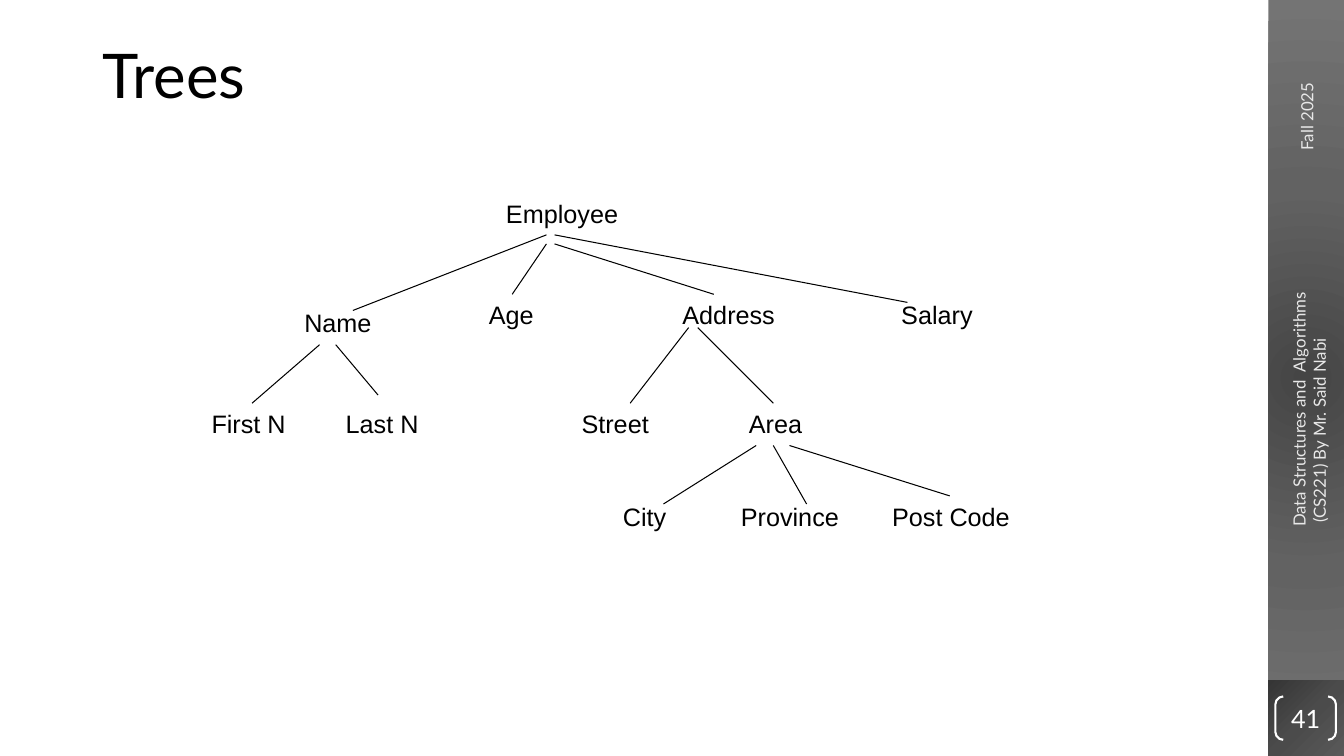
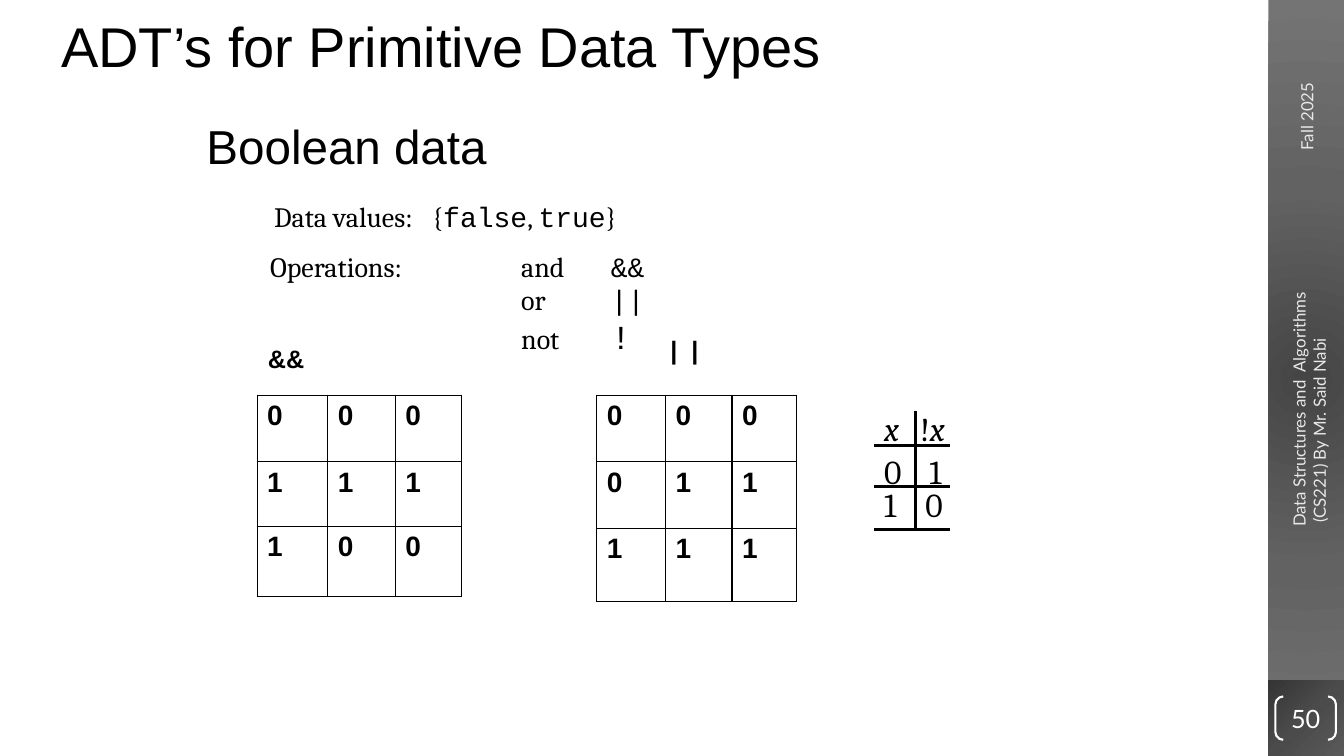
from collections import namedtuple

from lxml.etree import SubElement
from pptx import Presentation
from pptx.dml.color import RGBColor
from pptx.enum.shapes import MSO_CONNECTOR, MSO_SHAPE
from pptx.enum.text import MSO_ANCHOR, MSO_AUTO_SIZE, PP_ALIGN
from pptx.oxml.ns import qn
from pptx.util import Inches, Pt

BLACK = RGBColor(0x00, 0x00, 0x00)
WHITE = RGBColor(0xFF, 0xFF, 0xFF)
LIGHT_GRAY = RGBColor(0xE8, 0xE8, 0xE8)
BAND_COLORS = [RGBColor(0x45, 0x45, 0x45), RGBColor(0x62, 0x62, 0x62), RGBColor(0x74, 0x74, 0x74)]
CORNER_COLORS = [RGBColor(0x35, 0x35, 0x35), RGBColor(0x4B, 0x4B, 0x4B), RGBColor(0x59, 0x59, 0x59)]

# Text styles
TITLE = {"name": "Lato", "size": Pt(44), "color": BLACK}
HEADING = {"name": "Arial", "size": Pt(40), "color": BLACK}
SUBHEADING = {**HEADING, "size": Pt(34)}
LABEL = {**HEADING, "size": Pt(18)}
BOLD_LABEL = {**LABEL, "bold": True}
CELL = {**BOLD_LABEL, "size": Pt(20)}
BODY = {"name": "Cambria", "size": Pt(20), "color": BLACK}
NEGATION = {**BODY, "size": Pt(24)}
FOOTER = {"name": "Lato", "size": Pt(12), "color": LIGHT_GRAY}
PAGE_NUMBER = {"name": "Lato", "size": Pt(18), "color": WHITE}
CODE = {"name": "Courier New"}
ITALIC = {"italic": True}

Box = namedtuple("Box", "left top width height")

# Tree: label, left, top, width; lines as start x, y, end x, y
TREE_NODES = [
    ("Employee", 2.92, 0, 1.31),
    ("Name", 0.92, 1.08, 0.87),
    ("Age", 2.75, 1, 0.65),
    ("Address", 4.67, 1, 1.12),
    ("Salary", 6.84, 1, 0.91),
    ("First N", 0, 2.08, 0.94),
    ("Last N", 1.33, 2.08, 0.92),
    ("Street", 3.67, 2.08, 0.87),
    ("Area", 5.33, 2.08, 0.73),
    ("City", 4.08, 3, 0.63),
    ("Province", 5.25, 3, 1.17),
    ("Post Code", 6.75, 3, 1.37),
]
TREE_LINES = [
    (3.42, 0.41, 1.5, 1.16), (3.42, 0.5, 3.08, 1), (3.5, 0.5, 5.08, 1), (3.5, 0.41, 7, 1.08),
    (1.17, 1.5, 0.5, 2.08), (1.33, 1.5, 1.75, 2),
    (4.83, 1.33, 4.25, 2.08), (4.92, 1.33, 5.67, 2.08),
    (5.5, 2.5, 4.58, 3.08), (5.67, 2.5, 6, 3.08), (5.83, 2.5, 7.42, 3),
]


def inside(box, left, top, width, height):
    return Box(box.left + left, box.top + top, width, height)


def lengths(values):
    return [Inches(value) for value in values]


def set_font(font, style):
    for attribute, value in style.items():
        if attribute == "color":
            font.color.rgb = value
        else:
            setattr(font, attribute, value)


def fill_paragraph(paragraph, runs, style, tabs=()):
    """Write runs, each a string or a (string, style changes) pair."""
    for item in [runs] if isinstance(runs, str) else runs:
        text, changes = (item, {}) if isinstance(item, str) else item
        run = paragraph.add_run()
        run.text = text
        set_font(run.font, {**style, **changes})
    if tabs:
        tab_list = SubElement(paragraph._p.get_or_add_pPr(), qn("a:tabLst"))
        for position in tabs:
            SubElement(tab_list, qn("a:tab"), pos=str(Inches(position)), algn="l")


def add_text(slide, box, paragraphs, style, tabs=(), wrap=True, anchor=MSO_ANCHOR.TOP, spacing=None, rotation=0):
    shape = slide.shapes.add_textbox(*lengths(box))
    shape.rotation = rotation
    frame = shape.text_frame
    settings = {"word_wrap": wrap, "vertical_anchor": anchor}
    if not wrap:
        settings["auto_size"] = MSO_AUTO_SIZE.SHAPE_TO_FIT_TEXT
    for attribute, value in settings.items():
        setattr(frame, attribute, value)
    for index, runs in enumerate(paragraphs):
        paragraph = frame.add_paragraph() if index else frame.paragraphs[0]
        paragraph.line_spacing = spacing
        fill_paragraph(paragraph, runs, style, tabs)


def add_line(slide, box, points, width):
    start_x, start_y, end_x, end_y = points
    line = slide.shapes.add_connector(
        MSO_CONNECTOR.STRAIGHT,
        *lengths((box.left + start_x, box.top + start_y, box.left + end_x, box.top + end_y)))
    line.line.color.rgb = BLACK
    line.line.width = Pt(width)
    SubElement(line._element.spPr, qn("a:effectLst"))


def add_gradient_box(slide, box, colors, focus):
    """Add a rectangle with a radial gradient; focus gives left, top, right, bottom."""
    shape = slide.shapes.add_shape(MSO_SHAPE.RECTANGLE, *lengths(box))
    shape.shadow.inherit = False
    shape.line.fill.background()
    shape.fill.gradient()
    gradient = shape._element.spPr.find(qn("a:gradFill"))
    for child in list(gradient):
        gradient.remove(child)
    stops = SubElement(gradient, qn("a:gsLst"))
    for index, color in enumerate(colors):
        stop = SubElement(stops, qn("a:gs"), pos=str(index * 50000))
        SubElement(stop, qn("a:srgbClr"), val=str(color))
    circle = SubElement(gradient, qn("a:path"), path="circle")
    SubElement(circle, qn("a:fillToRect"),
               **{side: str(percent * 1000) for side, percent in zip("ltrb", focus)})


def add_side_band(slide, box, number):
    # Band and corner square
    add_gradient_box(slide, box, BAND_COLORS, (50, 50, 50, 50))
    corner = inside(box, 0, box.height - box.width, box.width, box.width)
    add_gradient_box(slide, corner, CORNER_COLORS, (0, 0, 100, 100))

    # Vertical texts
    add_text(slide, inside(box, -0.33, 0.73, 1.42, 0.3), ["Fall 2025"], FOOTER, rotation=270)
    add_text(slide, inside(box, -0.93, 3.74, 2.67, 0.5),
             ["Data Structures and  Algorithms", " (CS221) By Mr. Said Nabi"], FOOTER, rotation=270)

    # Bracketed page number
    bracket = slide.shapes.add_shape(MSO_SHAPE.DOUBLE_BRACKET, *lengths(inside(corner, 0.07, 0.16, 0.6, 0.43)))
    bracket.adjustments[0] = 0.18
    bracket.shadow.inherit = False
    bracket.fill.background()
    bracket.line.color.rgb = WHITE
    bracket.line.width = Pt(1.5)
    frame = bracket.text_frame
    frame.vertical_anchor = MSO_ANCHOR.MIDDLE
    for side in ("left", "top", "right", "bottom"):
        setattr(frame, f"margin_{side}", 0)
    frame.paragraphs[0].alignment = PP_ALIGN.CENTER
    fill_paragraph(frame.paragraphs[0], str(number), PAGE_NUMBER)


def add_tree(slide, box):
    for label, left, top, width in TREE_NODES:
        add_text(slide, inside(box, left, top, width, 0.4), [label], LABEL, wrap=False)
    for points in TREE_LINES:
        add_line(slide, box, points, 0.75)


def add_operations(slide, box):
    add_text(slide, inside(box, 0.04, 0, 7.67, 0.45),
             [["Data values:\t{", ("false", CODE), ", ", ("true", CODE), "}"]], BODY, tabs=[1.57])
    add_text(slide, inside(box, 0, 0.49, 7.42, 1.17), [
        ["Operations:\tand\t", ("&&", CODE)],
        ["\tor\t", ("||", CODE)],
        ["\tnot\t", ("!", {**CODE, "size": Pt(24)})],
    ], BODY, tabs=[2.49, 3.38], anchor=MSO_ANCHOR.MIDDLE)


def add_cell_borders(cell):
    properties = cell._tc.get_or_add_tcPr()
    for side in ("lnL", "lnR", "lnT", "lnB"):
        border = SubElement(properties, qn(f"a:{side}"), w=str(Pt(1)))
        fill = SubElement(border, qn("a:solidFill"))
        SubElement(fill, qn("a:srgbClr"), val=str(BLACK))


def add_truth_table(slide, box, values, widths, heights):
    table = slide.shapes.add_table(len(heights), len(widths), *lengths(box)).table
    table.first_row = table.horz_banding = False
    for column, width in zip(table.columns, widths):
        column.width = Inches(width)
    for row, height, digits in zip(table.rows, heights, values):
        row.height = Inches(height)
        for cell, digit in zip(row.cells, digits):
            add_cell_borders(cell)
            cell.fill.background()
            fill_paragraph(cell.text_frame.paragraphs[0], digit, CELL)


def add_negation_table(slide, box):
    rows = [
        (0, [("x", ITALIC), "\t!", ("x", ITALIC)], 0.36),
        (0.42, "0\t1", 0.45),
        (0.75, "1\t0", 0.41),
    ]
    for top, runs, tab in rows:
        add_text(slide, inside(box, 0, top, 1.58, 0.5), [runs], NEGATION, tabs=[tab])
    add_line(slide, box, (0.41, 0.08, 0.41, box.height), 2.25)
    for level in (0.42, 0.83, box.height):
        add_line(slide, box, (0, level, box.width, level), 2.25)


def add_numbered_slide(presentation, number):
    slide = presentation.slides.add_slide(presentation.slide_layouts[6])
    add_side_band(slide, Box(12.58, 0, 0.75, 7.5), number)
    return slide


def build_tree_slide(presentation):
    slide = add_numbered_slide(presentation, 41)
    add_text(slide, Box(0.92, 0.4, 11.5, 1.45), ["Trees"], TITLE, spacing=0.9)
    add_tree(slide, Box(2, 1.92, 8.12, 3.4))


def build_boolean_slide(presentation):
    slide = add_numbered_slide(presentation, 50)
    add_text(slide, Box(0.51, 0, 8.5, 0.9), ["ADT’s for Primitive Data Types"], HEADING,
             anchor=MSO_ANCHOR.MIDDLE)
    add_text(slide, Box(1.95, 1.17, 9, 1.08), ["Boolean data"], SUBHEADING, spacing=0.9)
    add_operations(slide, Box(2.58, 1.93, 7.71, 1.66))

    # Truth tables
    add_text(slide, Box(2.56, 3.36, 0.57, 0.4), ["&&"], BOLD_LABEL, wrap=False)
    add_truth_table(slide, Box(2.55, 3.92, 2.03, 2), ["000", "111", "100"],
                    (0.7, 0.67, 0.66), (0.66, 0.64, 0.7))
    add_text(slide, Box(6.55, 3.27, 0.48, 0.4), ["|\t|"], BOLD_LABEL, tabs=[0.21], wrap=False)
    add_truth_table(slide, Box(5.92, 3.92, 1.98, 2.05), ["000", "011", "111"],
                    (0.68, 0.66, 0.64), (0.66, 0.66, 0.73))
    add_negation_table(slide, Box(8.67, 4, 0.75, 1.25))


def main():
    presentation = Presentation()
    presentation.slide_width = Inches(13.33)
    presentation.slide_height = Inches(7.5)
    build_tree_slide(presentation)
    build_boolean_slide(presentation)
    presentation.save("out.pptx")


if __name__ == "__main__":
    main()
